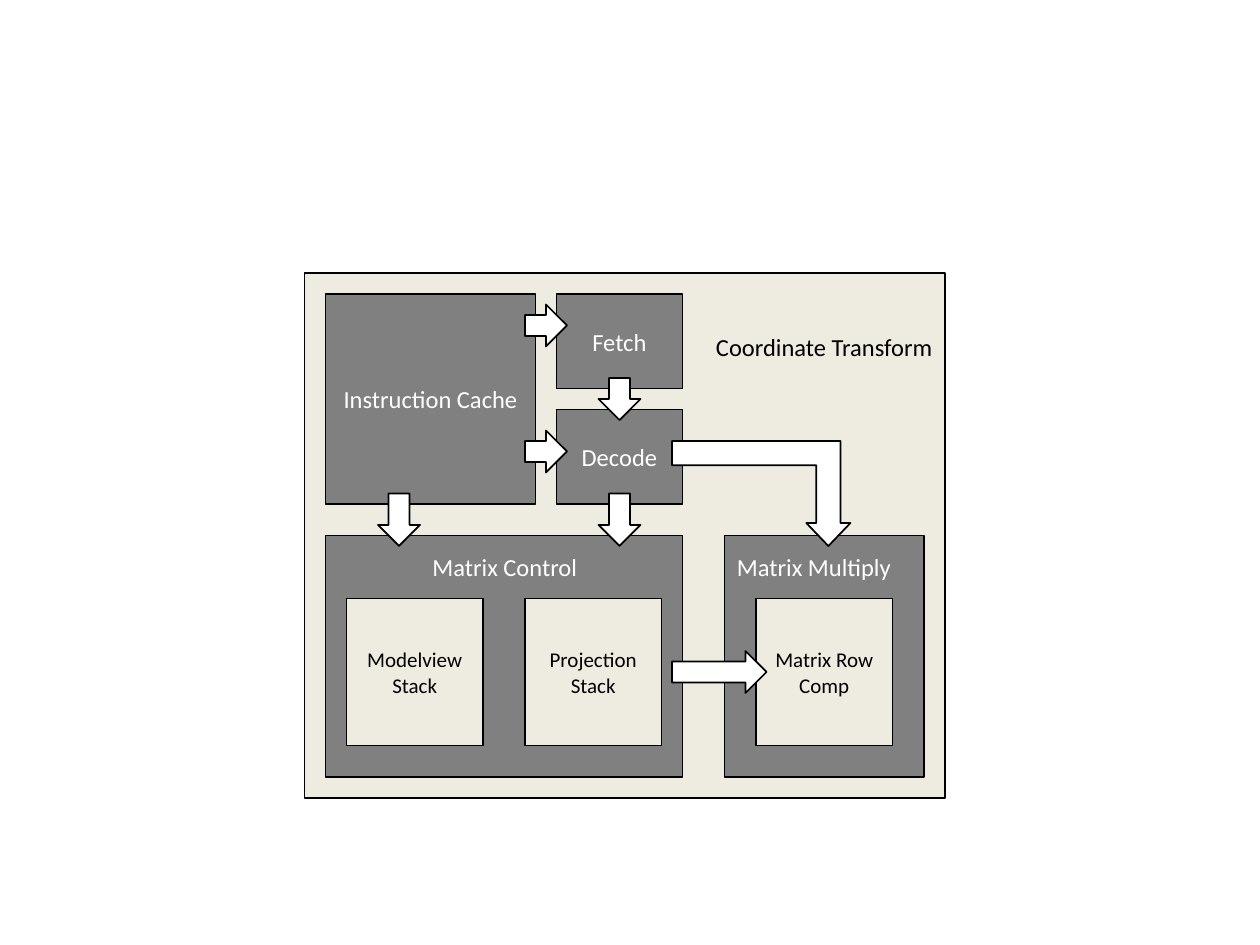
from pptx import Presentation
from pptx import util as u
from pptx.dml.color import RGBColor
from pptx.enum import shapes, text

COLORS = {"panel": "EEECE1", "unit": "808080", "black": "000000", "white": "FFFFFF"}
COLUMNS, ROWS = 120, 90
BOX = shapes.MSO_SHAPE.FLOWCHART_PROCESS


class Diagram:
    font = "Calibri"
    arrow_width = 4

    def __init__(self, presentation):
        self.cell_width = presentation.slide_width / COLUMNS
        self.cell_height = presentation.slide_height / ROWS
        self.slide = presentation.slides.add_slide(presentation.slide_layouts[6])

    def place(self, left, top, width, height):
        return (round(left * self.cell_width), round(top * self.cell_height),
                round(width * self.cell_width), round(height * self.cell_height))

    def set_text(self, frame, words, size, color, alignment):
        frame.word_wrap = True
        frame.text = words
        paragraph = frame.paragraphs[0]
        paragraph.alignment = alignment
        paragraph.font.name = self.font
        paragraph.font.size = u.Pt(size)
        paragraph.font.color.rgb = RGBColor.from_string(COLORS[color])

    def shape(self, kind, bounds, fill):
        shape = self.slide.shapes.add_shape(kind, *self.place(*bounds))
        shape.shadow.inherit = False
        shape.fill.solid()
        shape.fill.fore_color.rgb = RGBColor.from_string(COLORS[fill])
        shape.line.color.rgb = RGBColor.from_string(COLORS["black"])
        shape.line.width = u.Pt(1)
        return shape

    def box(self, bounds, words=""):
        shape = self.shape(BOX, bounds, "unit")
        if words:
            self.set_text(shape.text_frame, words, 14, "white", text.PP_ALIGN.CENTER)

    def stack(self, left, words):
        shape = self.shape(BOX, (left, 57, 13, 14), "panel")
        self.set_text(shape.text_frame, words, 12, "black", text.PP_ALIGN.CENTER)

    def label(self, left, top, width, words, color):
        label = self.slide.shapes.add_textbox(*self.place(left, top, width, 4))
        self.set_text(label.text_frame, words, 14, color, text.PP_ALIGN.LEFT)
        label.text_frame.auto_size = text.MSO_AUTO_SIZE.SHAPE_TO_FIT_TEXT

    def arrow(self, center_x, center_y, length, rotation=0):
        bounds = (center_x - length / 2, center_y - self.arrow_width / 2,
                  length, self.arrow_width)
        shape = self.shape(shapes.MSO_SHAPE.RIGHT_ARROW, bounds, "white")
        shape.rotation = rotation

    def bent_arrow(self, bounds, adjustments):
        shape = self.shape(shapes.MSO_SHAPE.BENT_UP_ARROW, bounds, "white")
        shape.rotation = 180
        shape.element.spPr.xfrm.set("flipH", "1")
        for index, value in enumerate(adjustments):
            shape.adjustments[index] = value


def main():
    presentation = Presentation()
    presentation.slide_width = u.Inches(10)
    presentation.slide_height = u.Inches(7.5)
    diagram = Diagram(presentation)

    diagram.shape(shapes.MSO_SHAPE.RECTANGLE, (29, 26, 61, 50), "panel")
    diagram.box((31, 28, 20, 20), "Instruction Cache")
    diagram.label(67, 31, 26, "Coordinate Transform", "black")
    diagram.box((53, 39, 12, 9), "Decode")
    diagram.box((53, 28, 12, 9), "Fetch")
    diagram.box((69, 51, 19, 23))
    diagram.box((31, 51, 34, 23))

    for left, words in ((72, "Matrix Row Comp"), (33, "Modelview Stack"),
                        (50, "Projection Stack")):
        diagram.stack(left, words)
    diagram.label(40, 52, 18, "Matrix Control", "white")
    diagram.label(69, 52, 21, "Matrix Multiply", "white")

    for center_y in (31, 43):
        diagram.arrow(52, center_y, 4)
    diagram.arrow(59, 38, 4, 90)
    for center_x in (38, 59):
        diagram.arrow(center_x, 49.5, 5, 90)
    diagram.arrow(68.5, 64, 9)
    diagram.bent_arrow((64, 42, 17, 10), (0.23, 0.21, 0.22))

    presentation.save("out.pptx")


if __name__ == "__main__":
    main()
